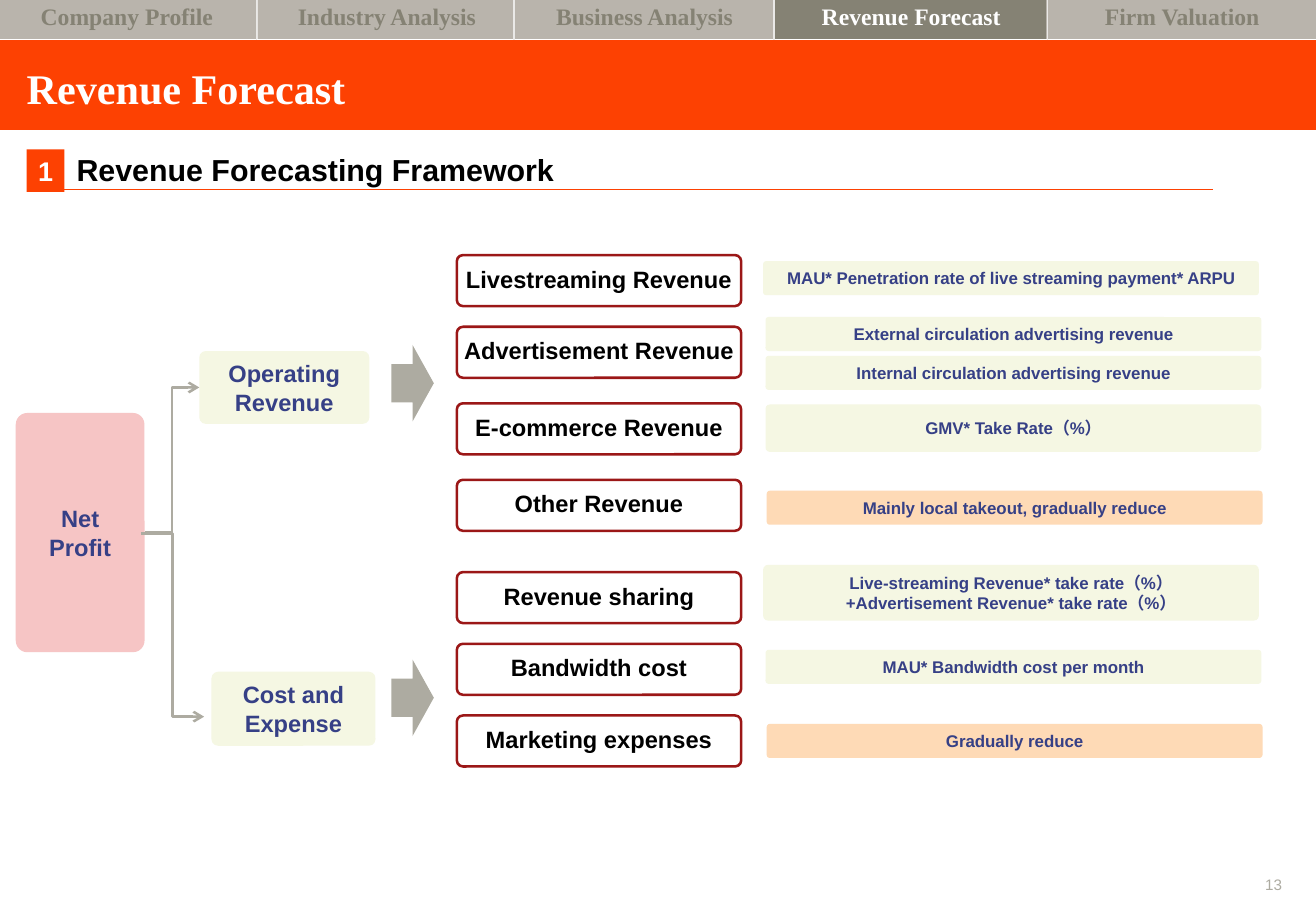
import pptx
import pptx.dml.color
import pptx.enum.shapes
import pptx.enum.text
import pptx.oxml.ns
import pptx.util
from dataclasses import dataclass
from lxml import etree

PX = 9144  # EMU per px, 100 px to the inch


@dataclass(frozen=True)
class Theme:
    orange: str = "FD4102"
    white: str = "FFFFFF"
    black: str = "000000"
    navy: str = "364086"
    pink: str = "F6C5C5"
    cream: str = "F5F7E3"
    peach: str = "FEDAB6"
    maroon: str = "9B1717"
    gray: str = "ADABA1"
    tab: str = "B9B4AC"
    active_tab: str = "858274"
    separator: str = "EAE9E7"
    sans: str = "Arial"
    serif: str = "Times New Roman"
    title_size: float = 25
    section_size: float = 18
    badge_size: float = 16
    label_size: float = 14
    detail_size: float = 10
    number_size: float = 9


theme = Theme()
SHAPE = pptx.enum.shapes.MSO_SHAPE
CONNECTOR = pptx.enum.shapes.MSO_CONNECTOR
ALIGN = pptx.enum.text.PP_ALIGN
ANCHOR = pptx.enum.text.MSO_ANCHOR

presentation = pptx.Presentation()
presentation.slide_width = 1083 * PX
presentation.slide_height = 750 * PX
slide = presentation.slides.add_slide(presentation.slide_layouts[6])


def add_box(kind, bounds, fill=None, line=None, corner=None):
    shape = slide.shapes.add_shape(kind, *[value * PX for value in bounds])
    shape.shadow.inherit = False
    if corner is not None:
        shape.adjustments[0] = corner
    if fill:
        shape.fill.solid()
        shape.fill.fore_color.rgb = pptx.dml.color.RGBColor.from_string(fill)
    else:
        shape.fill.background()
    if line:
        shape.line.color.rgb = pptx.dml.color.RGBColor.from_string(line)
        shape.line.width = pptx.util.Pt(1.5)
    else:
        shape.line.fill.background()
    return shape


def write(shape, text, size=theme.label_size, color=theme.navy, font=theme.sans, bold=True,
          align=ALIGN.CENTER, anchor=ANCHOR.MIDDLE, margins=(10, 5, 10, 5), spacing=1.0, wrap=True):
    frame = shape.text_frame
    frame.word_wrap = wrap
    frame.vertical_anchor = anchor
    frame.margin_left, frame.margin_top, frame.margin_right, frame.margin_bottom = [
        margin * PX for margin in margins]
    frame.text = text
    for paragraph in frame.paragraphs:
        paragraph.alignment = align
        paragraph.line_spacing = spacing
        for run in paragraph.runs:
            run.font.size = pptx.util.Pt(size)
            run.font.name = font
            run.font.bold = bold
            run.font.color.rgb = pptx.dml.color.RGBColor.from_string(color)


# Title band
add_box(SHAPE.RECTANGLE, (-2, 33, 1087, 74), theme.orange)

# Navigation tabs
for label, left, width in [
    ("Company Profile", -2, 213),
    ("Industry Analysis", 212, 213),
    ("Business Analysis", 424, 213),
    ("Revenue Forecast", 638, 224),
    ("Firm Valuation", 861, 224),
]:
    active = label == "Revenue Forecast"
    tab = add_box(SHAPE.RECTANGLE, (left, -3, width, 35), theme.active_tab if active else theme.tab)
    write(tab, label, font=theme.serif, color=theme.white if active else theme.active_tab,
          margins=(8, 8, 8, 8), spacing=0.9)

# Title, section heading and page number
for text, bounds, style in [
    ("Revenue Forecast", (22, 56, 905, 43),
     dict(size=theme.title_size, color=theme.white, font=theme.serif, spacing=0.9)),
    ("Revenue Forecasting Framework", (62, 122, 778, 32),
     dict(size=theme.section_size, color=theme.black, margins=(1, 2, 0, 0))),
    ("13", (1024, 721, 31, 15),
     dict(size=theme.number_size, color=theme.gray, bold=False, align=ALIGN.RIGHT,
          anchor=ANCHOR.BOTTOM, wrap=False)),
]:
    text_box = slide.shapes.add_textbox(*[value * PX for value in bounds])
    write(text_box, text, **{"align": ALIGN.LEFT, "anchor": ANCHOR.TOP, "margins": (0, 0, 0, 0), **style})

badge = add_box(SHAPE.RECTANGLE, (22, 123, 31, 35), theme.orange)
write(badge, "1", size=theme.badge_size, color=theme.white, margins=(0, 5, 0, 5))

# Net profit and its two branches
branch_boxes = {}
for label, bounds, fill in [
    ("Net Profit", (13, 340, 106, 197), theme.pink),
    ("Operating Revenue", (164, 289, 140, 60), theme.cream),
    ("Cost and Expense", (174, 553, 135, 61), theme.cream),
]:
    branch_boxes[label] = add_box(SHAPE.ROUNDED_RECTANGLE, bounds, fill, corner=0.09)
    write(branch_boxes[label], label)

# Block arrows
for top in (284, 543):
    add_box(SHAPE.RIGHT_ARROW, (322, top, 35, 63), theme.gray)

# Revenue and cost items
for label, top in [
    ("Livestreaming Revenue", 210),
    ("Advertisement Revenue", 269),
    ("E-commerce Revenue", 332),
    ("Other Revenue", 395),
    ("Revenue sharing", 471),
    ("Bandwidth cost", 530),
    ("Marketing expenses", 589),
]:
    item = add_box(SHAPE.ROUNDED_RECTANGLE, (376, top, 234, 42), line=theme.maroon, corner=0.12)
    write(item, label, color=theme.black, margins=(0, 2, 0, 5))

# How each item is forecast
for text, left, top, height, fill in [
    ("MAU* Penetration rate of live streaming payment* ARPU", 628, 215, 28, theme.cream),
    ("External circulation advertising revenue", 630, 261, 28, theme.cream),
    ("Internal circulation advertising revenue", 630, 293, 28, theme.cream),
    ("GMV* Take Rate（%）", 630, 333, 39, theme.cream),
    ("Mainly local takeout, gradually reduce", 631, 404, 28, theme.peach),
    ("Live-streaming Revenue* take rate（%）\n+Advertisement Revenue* take rate（%）", 628, 465, 46, theme.cream),
    ("MAU* Bandwidth cost per month", 630, 535, 28, theme.cream),
    ("Gradually reduce", 631, 596, 28, theme.peach),
]:
    detail = add_box(SHAPE.ROUNDED_RECTANGLE, (left, top, 408, height), fill, corner=0.09)
    write(detail, text, size=theme.detail_size)

# Branch arrows, heading rule and tab separators
lines = [
    (CONNECTOR.ELBOW, (119, 438, 164, 319), theme.gray, 1.5, ("Net Profit", "Operating Revenue")),
    (CONNECTOR.ELBOW, (116, 439, 168, 590), theme.gray, 1.5, None),
    (CONNECTOR.STRAIGHT, (41, 156, 998, 156), theme.orange, 1, None),
]
lines += [(CONNECTOR.STRAIGHT, (x, -3, x, 33), theme.separator, 0.75, None) for x in (211, 423, 637, 862)]
for kind, ends, color, width, joined in lines:
    connector = slide.shapes.add_connector(kind, *[value * PX for value in ends])
    connector.line.color.rgb = pptx.dml.color.RGBColor.from_string(color)
    connector.line.width = pptx.util.Pt(width)
    properties = connector._element.spPr
    if kind == CONNECTOR.ELBOW:
        outline = properties.find(pptx.oxml.ns.qn("a:ln"))
        etree.SubElement(outline, pptx.oxml.ns.qn("a:tailEnd"), type="arrow")
    etree.SubElement(properties, pptx.oxml.ns.qn("a:effectLst"))
    if joined:
        connector.begin_connect(branch_boxes[joined[0]], 3)
        connector.end_connect(branch_boxes[joined[1]], 1)

presentation.save("out.pptx")
